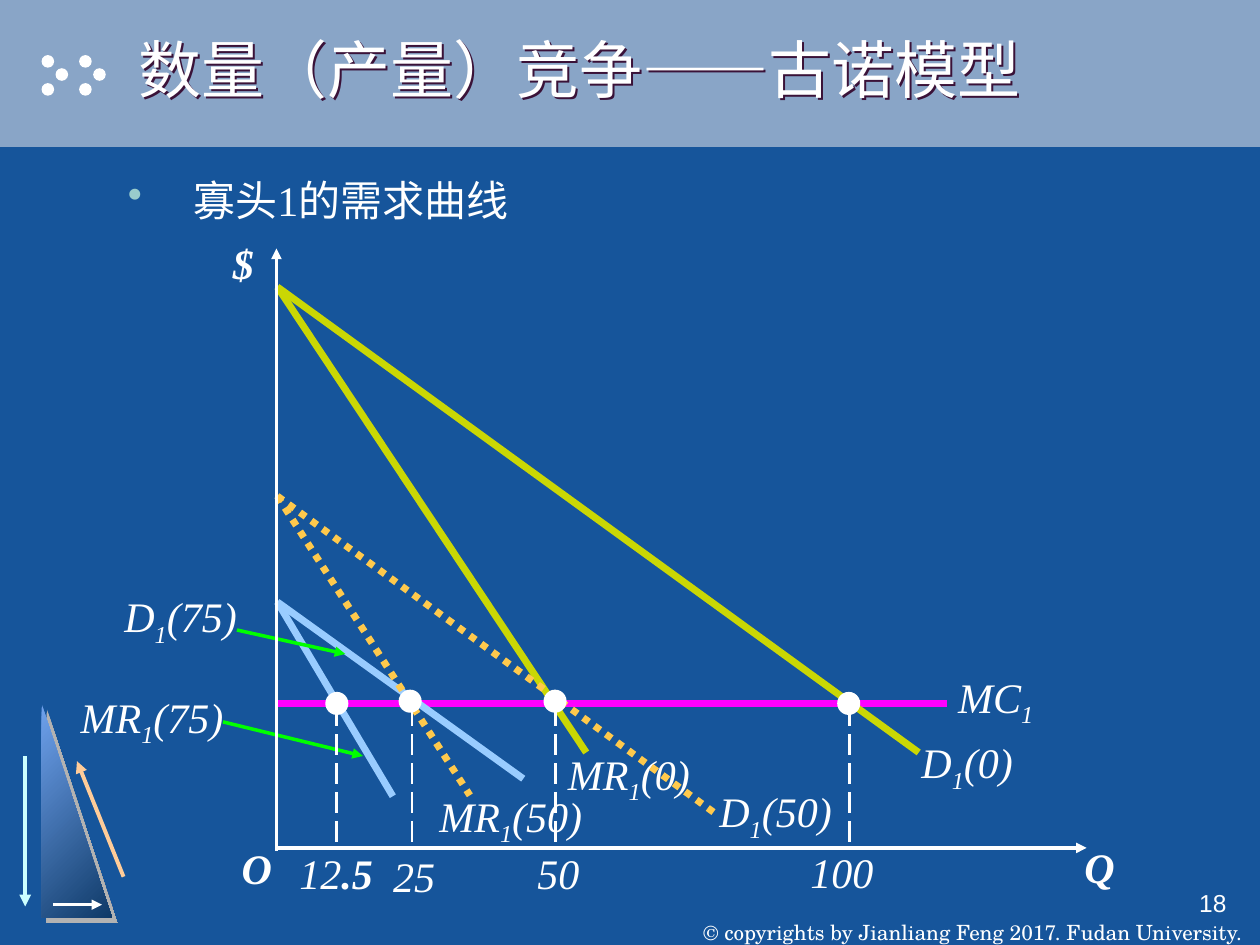
from dataclasses import dataclass

from lxml import etree
from pptx import Presentation
from pptx.dml.color import RGBColor
from pptx.enum.dml import MSO_LINE
from pptx.enum.shapes import MSO_CONNECTOR, MSO_SHAPE
from pptx.enum.text import MSO_ANCHOR, MSO_AUTO_SIZE, PP_ALIGN
from pptx.oxml.ns import qn
from pptx.util import Pt

STRAIGHT = MSO_CONNECTOR.STRAIGHT
RECTANGLE, OVAL, TRIANGLE = MSO_SHAPE.RECTANGLE, MSO_SHAPE.OVAL, MSO_SHAPE.RIGHT_TRIANGLE
LONG_DASH, DOTTED = MSO_LINE.LONG_DASH, MSO_LINE.ROUND_DOT
LEFT, CENTER, RIGHT = PP_ALIGN.LEFT, PP_ALIGN.CENTER, PP_ALIGN.RIGHT
TOP, MIDDLE, BOTTOM = MSO_ANCHOR.TOP, MSO_ANCHOR.MIDDLE, MSO_ANCHOR.BOTTOM
NO_FIT = MSO_AUTO_SIZE.NONE


@dataclass(frozen=True)
class Theme:
    background: str = "16559B"
    band: str = "89A5C7"
    white: str = "FFFFFF"
    shade: str = "B2B2B2"
    title_shade: str = "3A1238"
    slope_start: str = "6FA2ED"
    slope_end: str = "0F3A68"
    bullet: str = "99CCCC"
    down_arrow: str = "CCFFFF"
    up_arrow: str = "FFCC99"
    cost: str = "FF00FF"
    pointer: str = "00FF00"
    rival_75: str = "99CCFF"
    rival_50: str = "FFC94C"
    rival_0: str = "CAD704"
    sans: str = "Arial"
    serif: str = "Times New Roman"
    credit_font: str = "TeX Gyre Schola"
    title_size: int = 36
    text_size: int = 24
    number_size: int = 14
    credit_size: int = 12


THEME = Theme()
ORIGIN_X, COST_Y, AXIS_Y = 158, 402, 484.5
CURVE_X = 158.5


def color(value):
    return RGBColor.from_string(value)


def style(font, name, size):
    font.name = name
    font.size = Pt(size)
    font.color.rgb = color(THEME.white)


def add_shadow(shape, shade, distance):
    """Give a shape a hard shadow, down and to the right."""
    shape.shadow.inherit = False
    effects = shape._element.spPr.find(qn("a:effectLst"))
    shadow = etree.SubElement(effects, qn("a:outerShdw"), dist=str(Pt(distance)),
                              dir="2700000", algn="ctr", rotWithShape="0")
    etree.SubElement(shadow, qn("a:srgbClr"), val=shade)


def add_solid(page, kind, left, top, width, height, outline=None):
    shape = page.shapes.add_shape(kind, Pt(left), Pt(top), Pt(width), Pt(height))
    shape.shadow.inherit = False
    shape.fill.solid()
    shape.fill.fore_color.rgb = color(THEME.white)
    if outline:
        shape.line.color.rgb = color(THEME.white)
        shape.line.width = Pt(outline)
    else:
        shape.line.fill.background()
    return shape


def add_line(page, start, end, shade, width, dash=None, arrow=False):
    line = page.shapes.add_connector(STRAIGHT, *map(Pt, start + end))
    line.line.color.rgb = color(shade)
    line.line.width = Pt(width)
    if dash:
        line.line.dash_style = dash
    if arrow:
        etree.SubElement(line.line._get_or_add_ln(), qn("a:tailEnd"), type="triangle")
    etree.SubElement(line._element.spPr, qn("a:effectLst"))


def add_text(page, text, left, top, width, height, font, size,
             align=LEFT, anchor=TOP, wrap=True):
    box = page.shapes.add_textbox(Pt(left), Pt(top), Pt(width), Pt(height))
    frame = box.text_frame
    frame.text = text
    frame.word_wrap = wrap
    frame.auto_size = NO_FIT
    frame.vertical_anchor = anchor
    para = frame.paragraphs[0]
    para.alignment = align
    style(para.runs[0].font, font, size)
    return frame


def add_label(page, left, top, width, name, subscript="", argument="", bold=False):
    """Italic label, such as D with subscript 1 and an argument."""
    frame = add_text(page, name, left, top, width, 39.5 if subscript else 36,
                     THEME.serif, THEME.text_size)
    # The free right margin keeps the label on one line
    frame.margin_right = 0
    para = frame.paragraphs[0]
    for extra in filter(None, (subscript, argument)):
        span = para.add_run()
        span.text = extra
        style(span.font, THEME.serif, THEME.text_size)
        if extra == subscript:
            span._r.get_or_add_rPr().set("baseline", "-25000")
    for span in para.runs:
        span.font.italic = True
        span.font.bold = bold
    return para


def add_frame(page):
    """Title band, dots, corner triangle and credit line."""
    band = add_solid(page, RECTANGLE, 0, 0, 720, 84)
    band.fill.fore_color.rgb = color(THEME.band)
    for group_left in (23.75, 45.25):
        for dx, top in ((0, 31.5), (8, 39), (0, 47.5)):
            add_solid(page, OVAL, group_left + dx, top, 7.2, 7.2)

    slope = add_solid(page, TRIANGLE, 23.75, 402, 40.3, 122.4)
    slope.fill.gradient()
    slope.fill.gradient_angle = 315
    for stop, shade in zip(slope.fill.gradient_stops, (THEME.slope_start, THEME.slope_end)):
        stop.color.rgb = color(shade)
    add_shadow(slope, THEME.shade, 4.2)
    add_line(page, (14.4, 432), (14.4, 518), THEME.down_arrow, 2.25, arrow=True)
    add_line(page, (70.6, 501), (44, 435), THEME.up_arrow, 2.25, arrow=True)
    add_line(page, (30.5, 517), (58.3, 517), THEME.white, 1.5, arrow=True)

    credit = add_text(page, "© copyrights by Jianliang Feng 2017. Fudan University.",
                      392, 504, 328, 36, THEME.credit_font, THEME.credit_size,
                      CENTER, BOTTOM, wrap=False)
    credit.margin_top = credit.margin_bottom = 0
    add_text(page, "18", 558, 504, 150, 36, THEME.sans, THEME.number_size, RIGHT)


def add_title(page, text):
    title = page.shapes.title
    title.left, title.top, title.width, title.height = map(Pt, (72, 0, 648, 78))
    frame = title.text_frame
    frame.text = text
    frame.auto_size = NO_FIT
    frame.vertical_anchor = MIDDLE
    para = frame.paragraphs[0]
    para.alignment = LEFT
    style(para.runs[0].font, THEME.sans, THEME.title_size)
    title.fill.background()
    add_shadow(title, THEME.title_shade, 1.5)


def add_bullet(page, text):
    frame = add_text(page, text, 66, 96, 588, 360, THEME.serif, THEME.text_size)
    properties = frame.paragraphs[0]._p.get_or_add_pPr()
    properties.set("marL", str(Pt(37.5)))
    properties.set("indent", str(Pt(-37.5)))
    shade = etree.SubElement(properties, qn("a:buClr"))
    etree.SubElement(shade, qn("a:srgbClr"), val=THEME.bullet)
    etree.SubElement(properties, qn("a:buChar"), char="•")


def add_curves(page):
    """Marginal cost, then demand and marginal revenue for each rival output."""
    add_line(page, (CURVE_X, COST_Y), (541, COST_Y), THEME.cost, 4)
    add_label(page, 540.5, 380, 57.5, "MC", "1")
    families = (
        ("(75)", 344, THEME.rival_75, None,
         ("D", (299, 445), (64, 334, 78.5)), ("MR", (224.5, 455), (39, 391.5, 96))),
        ("(0)", 164, THEME.rival_0, None,
         ("D", (525, 430), (519.5, 417.5, 66)), ("MR", (335, 430), (317.5, 424, 83.5))),
        ("(50)", 283.5, THEME.rival_50, DOTTED,
         ("D", (409, 465), (404, 445.5, 78.5)), ("MR", (268.5, 454.5), (244, 448, 96))),
    )
    for argument, start_y, shade, dash, *curves in families:
        for name, end, place in curves:
            add_line(page, (CURVE_X, start_y), end, shade, 4, dash)
            add_label(page, *place, name, "1", argument)
    for start, end in (((135.4, 360), (197.3, 373.7)), ((127.4, 412.5), (207.4, 432))):
        add_line(page, start, end, THEME.pointer, 2, arrow=True)


def add_axes(page):
    add_line(page, (ORIGIN_X, 486), (ORIGIN_X, 142), THEME.white, 2, arrow=True)
    add_line(page, (ORIGIN_X, AXIS_Y), (621, AXIS_Y), THEME.white, 2, arrow=True)
    for name, left, top, width in (("Q", 612.5, 477.5, 31.5), ("$", 126, 132, 26),
                                   ("O", 131, 478, 31.5)):
        add_label(page, left, top, width, name, bold=True)


def add_outputs(page):
    """Drop lines, dots and quantities where the curves meet marginal cost."""
    for text, x, dot_x, dot_y, left, top, width in (
            ("12", 192.3, 192.5, 402, 164, 481, 56),
            ("25", 235.5, 234.4, 400.7, 217.5, 482.4, 38),
            ("50", 317.5, 317.2, 400.7, 300, 481, 38),
            ("100", 485.5, 485, 402, 456, 480.3, 50.5)):
        add_line(page, (x, 403), (x, AXIS_Y), THEME.white, 1.5, LONG_DASH)
        add_solid(page, OVAL, dot_x - 6.1, dot_y - 6.1, 12.2, 12.2, outline=1)
        decimals = ".5" if text == "12" else ""
        para = add_label(page, left, top, width, text, argument=decimals)
        if decimals:
            para.runs[-1].font.bold = True


def main():
    deck = Presentation()
    deck.slide_width, deck.slide_height = Pt(720), Pt(540)
    page = deck.slides.add_slide(deck.slide_layouts[5])
    page.background.fill.solid()
    page.background.fill.fore_color.rgb = color(THEME.background)
    add_frame(page)
    # The title lies above the band
    page.shapes._spTree.append(page.shapes.title._element)
    add_title(page, "数量（产量）竞争——古诺模型")
    add_bullet(page, "寡头1的需求曲线")
    add_curves(page)
    add_axes(page)
    add_outputs(page)
    deck.save("out.pptx")


if __name__ == "__main__":
    main()
